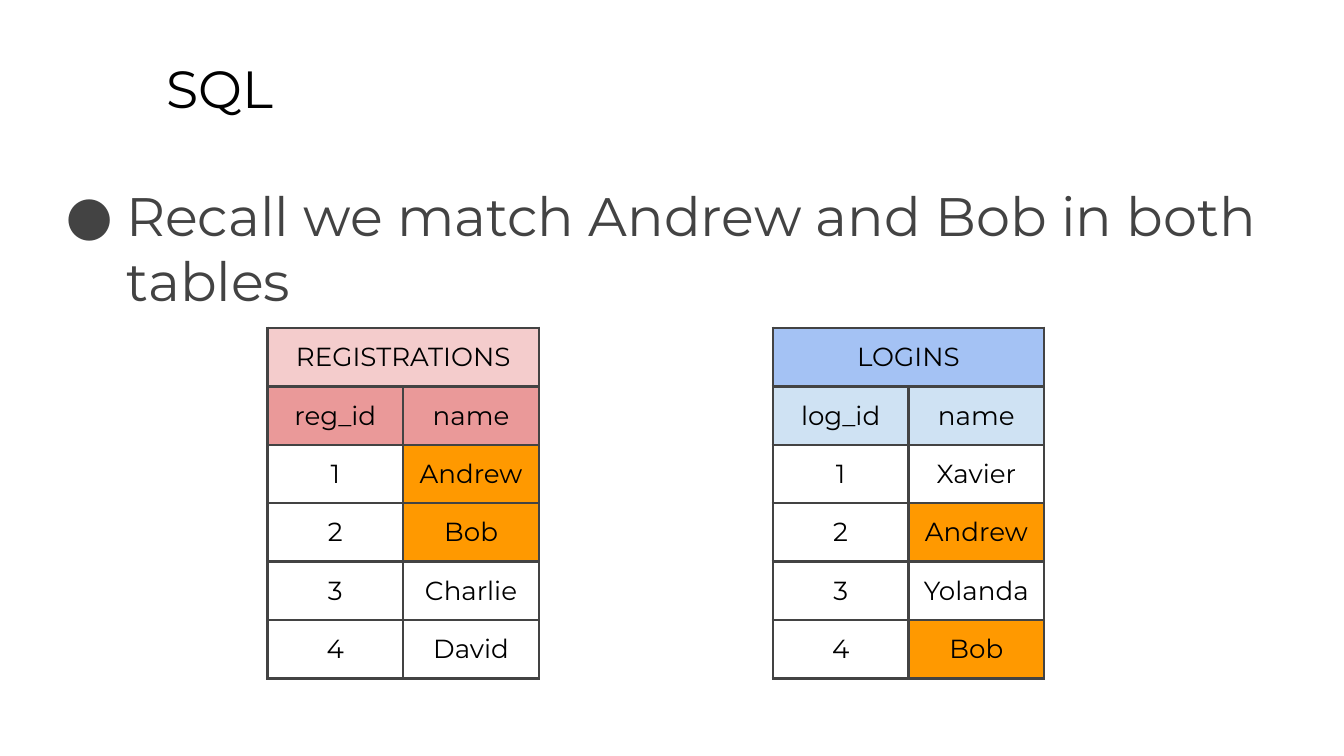
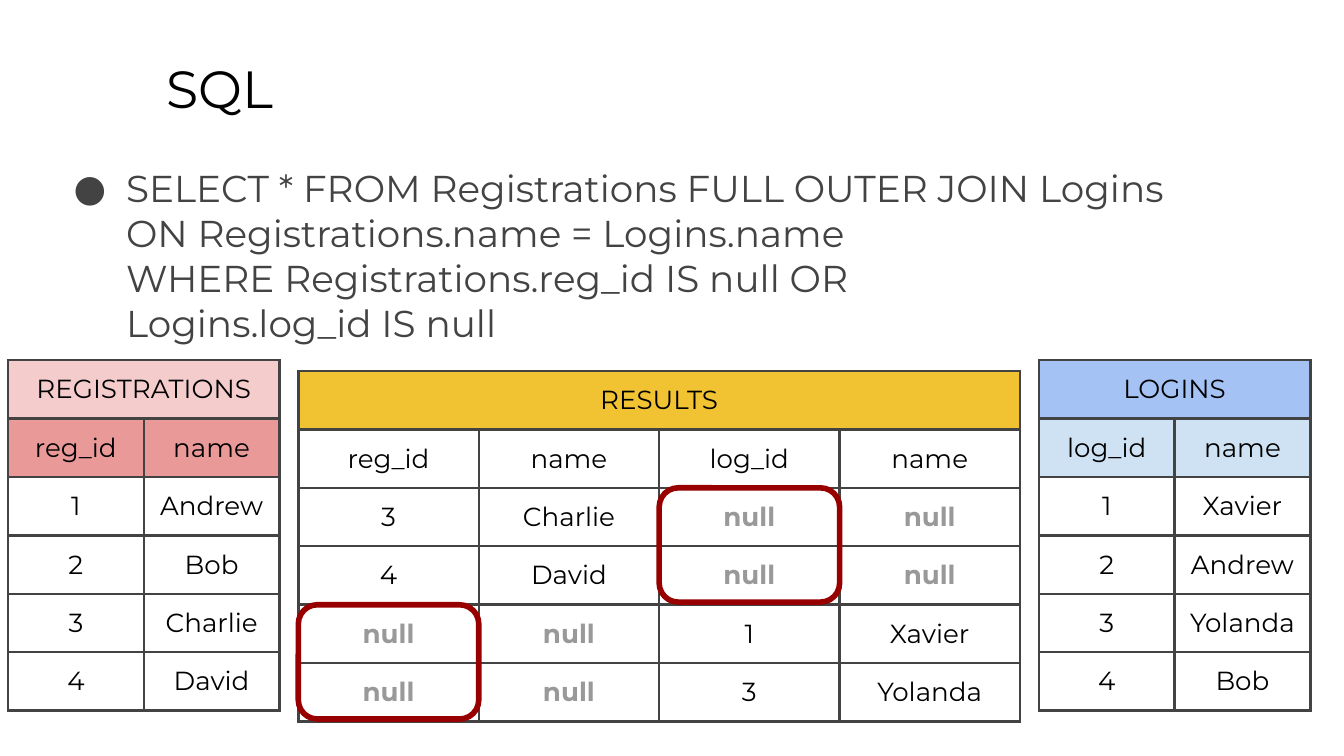
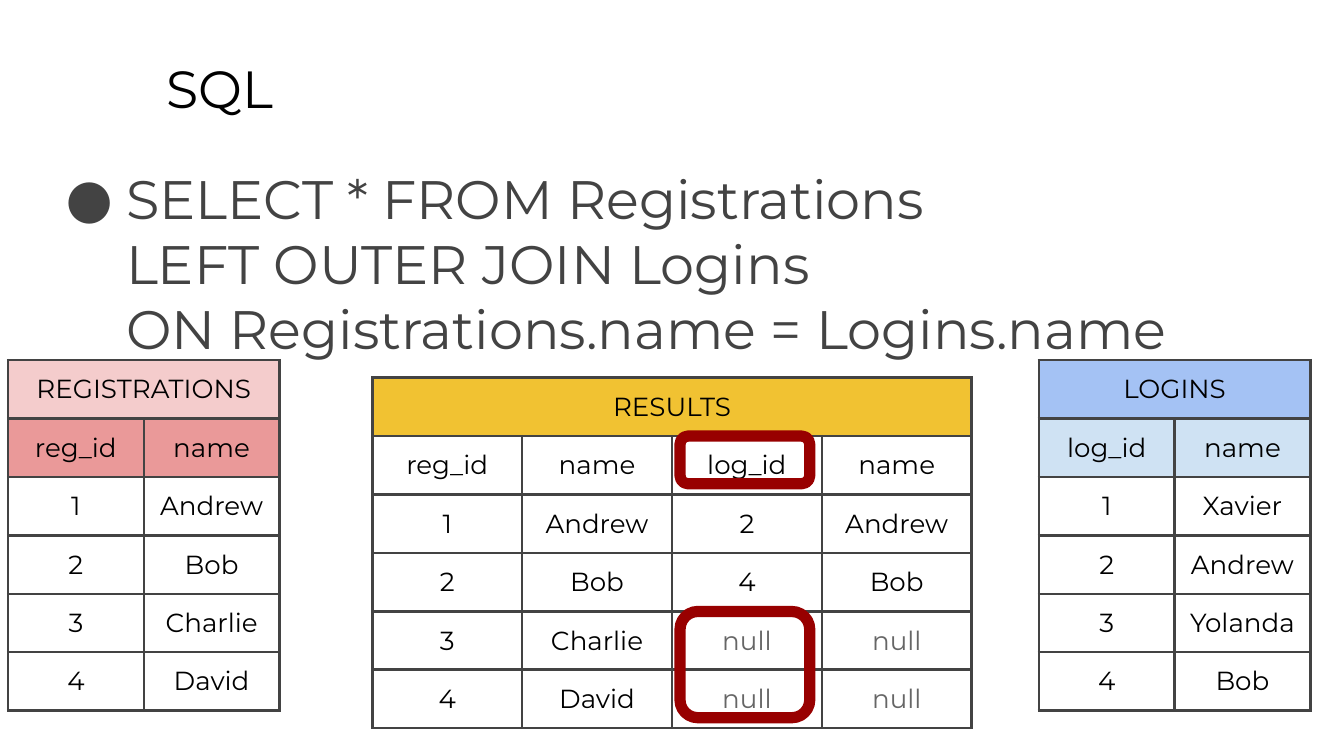
import collections

import pptx
import pptx.dml.color
import pptx.enum.shapes
import pptx.enum.text
import pptx.oxml
import pptx.oxml.ns
import pptx.util

WIDTH, HEIGHT = pptx.util.Inches(10), pptx.util.Inches(5.625)
COLUMN, ROW = WIDTH / 100, HEIGHT / 56.25
TABLE_ROW = 4.35
FONT = "Montserrat"
COLORS = {
    "paper": "FFFFFF", "ink": "000000", "body": "434343", "border": "434343",
    "registrations": "F4CCCC", "registrations_head": "EA9999",
    "logins": "A4C2F4", "logins_head": "CFE2F3",
    "results": "F1C232", "match": "FF9900", "ring": "980000",
    "null_bold": "999999", "null_plain": "666666",
}
Box = collections.namedtuple("Box", "left top width height")
Relation = collections.namedtuple("Relation", "name fields records")

REGISTRATIONS = Relation("registrations", ["reg_id", "name"], [
    ["1", "Andrew"], ["2", "Bob"], ["3", "Charlie"], ["4", "David"]])
LOGINS = Relation("logins", ["log_id", "name"], [
    ["1", "Xavier"], ["2", "Andrew"], ["3", "Yolanda"], ["4", "Bob"]])
JOINED_FIELDS = REGISTRATIONS.fields + LOGINS.fields
UNMATCHED = Relation("results", JOINED_FIELDS, [
    ["3", "Charlie", "null", "null"], ["4", "David", "null", "null"],
    ["null", "null", "1", "Xavier"], ["null", "null", "3", "Yolanda"]])
LEFT_JOINED = Relation("results", JOINED_FIELDS, [
    ["1", "Andrew", "2", "Andrew"], ["2", "Bob", "4", "Bob"],
    ["3", "Charlie", "null", "null"], ["4", "David", "null", "null"]])

TITLE_BOX = Box(11.4, 3.2, 85.2, 6.3)
QUERY_BOX = Box(3.4, 11.3, 95, 37.4)


def rgb(key):
    """Return the named colour."""
    return pptx.dml.color.RGBColor.from_string(COLORS[key])


def place(box):
    """Turn grid columns and rows into slide lengths."""
    return (round(box.left * COLUMN), round(box.top * ROW),
            round(box.width * COLUMN), round(box.height * ROW))


def table_box(left, top, width):
    """Return the box of a six-row table."""
    return Box(left, top, width, 6 * TABLE_ROW)


def write(paragraph, text, size, color, bold=False):
    """Add one styled run to a paragraph."""
    run = paragraph.add_run()
    run.text = text
    run.font.name = FONT
    run.font.size = pptx.util.Pt(size)
    run.font.bold = bold
    run.font.color.rgb = rgb(color)


def inset(holder):
    """Give a text holder equal margins."""
    holder.margin_left = holder.margin_right = COLUMN_MARGIN
    holder.margin_top = holder.margin_bottom = COLUMN_MARGIN


COLUMN_MARGIN = round(COLUMN)


def add_lines(slide, box, lines, size, color, hanging=None):
    """Write lines in a box, with a bullet on the first if hanging is given."""
    frame = slide.shapes.add_textbox(*place(box)).text_frame
    frame.word_wrap = True
    inset(frame)
    for number, line in enumerate(lines):
        paragraph = frame.paragraphs[0] if number == 0 else frame.add_paragraph()
        write(paragraph, line, size, color)
        if hanging:
            properties = paragraph._p.get_or_add_pPr()
            properties.set("marL", str(round(5 * COLUMN)))
            properties.set("indent", str(0 if number else -round(hanging * COLUMN)))
            if number == 0:
                add_bullet(properties)


def add_bullet(properties):
    """Give a paragraph a round bullet in the body colour."""
    color = pptx.oxml.ns.qn("a:buClr")
    bullet_color = properties.makeelement(color, {})
    bullet_color.append(properties.makeelement(
        pptx.oxml.ns.qn("a:srgbClr"), {"val": COLORS["body"]}))
    properties.append(bullet_color)
    for tag, attributes in (("a:buFont", {"typeface": FONT}), ("a:buChar", {"char": "●"})):
        properties.append(properties.makeelement(pptx.oxml.ns.qn(tag), attributes))


def add_borders(cell):
    """Draw the four borders of a cell."""
    properties = cell._tc.get_or_add_tcPr()
    for side in "LRTB":
        properties.append(pptx.oxml.parse_xml(
            f'<a:ln{side} {pptx.oxml.ns.nsdecls("a")} w="{pptx.util.Pt(1.5)}">'
            f'<a:solidFill><a:srgbClr val="{COLORS["border"]}"/></a:solidFill>'
            f'</a:ln{side}>'))


def fill_cell(cell, text, fill, color="ink", bold=False):
    """Style one cell and write its value."""
    inset(cell)
    add_borders(cell)
    if fill:
        cell.fill.solid()
        cell.fill.fore_color.rgb = rgb(fill)
    else:
        cell.fill.background()
    paragraph = cell.text_frame.paragraphs[0]
    paragraph.alignment = pptx.enum.text.PP_ALIGN.CENTER
    if text:
        write(paragraph, text, 14, color, bold)


def add_relation(slide, box, relation, matches=(), null_color="null_bold"):
    """Draw a relation: its name, its fields and its records."""
    span = len(relation.fields)
    heading = [relation.name.upper()] + [""] * (span - 1)
    rows = [heading, relation.fields] + relation.records
    grid = slide.shapes.add_table(len(rows), span, *place(box)).table
    grid.first_row = grid.horz_banding = False
    head = relation.name + "_head"
    for r, values in enumerate(rows):
        for c, value in enumerate(values):
            fill = "match" if value in matches else None
            if r < 2:
                fill = (relation.name, head if head in COLORS else None)[r]
            null = value == "null"
            fill_cell(grid.cell(r, c), value, fill, null_color if null else "ink",
                      null and null_color == "null_bold")
    grid.cell(0, 0).merge(grid.cell(0, span - 1))


def add_ring(slide, box, row, rows, column, weight, trim):
    """Ring some cells of one column in the four-column table box."""
    shift, narrow, shorten = trim
    cell_width = box.width / 4
    ring = slide.shapes.add_shape(
        pptx.enum.shapes.MSO_SHAPE.ROUNDED_RECTANGLE,
        *place(Box(box.left + column * cell_width + shift, box.top + row * TABLE_ROW,
                   cell_width - narrow, rows * TABLE_ROW - shorten)))
    ring.shadow.inherit = False
    ring.fill.background()
    ring.line.color.rgb = rgb("ring")
    ring.line.width = pptx.util.Pt(weight)


def add_sql_slide(deck, box, lines, size, hanging):
    """Start a slide with the shared title and its bulleted text."""
    slide = deck.slides.add_slide(deck.slide_layouts[6])
    slide.background.fill.solid()
    slide.background.fill.fore_color.rgb = rgb("paper")
    add_lines(slide, TITLE_BOX, ["SQL"], 28, "ink")
    add_lines(slide, box, lines, size, "body", hanging)
    return slide


def add_sources(slide, registrations_left, logins_left, top, matches=()):
    """Draw the two source relations at the same height."""
    for relation, left in ((REGISTRATIONS, registrations_left), (LOGINS, logins_left)):
        add_relation(slide, table_box(left, top, 20.2), relation, matches)


def build_match_slide(deck):
    """Show the names found in both relations."""
    slide = add_sql_slide(deck, QUERY_BOX._replace(top=12.6),
                          ["Recall we match Andrew and Bob in both tables"], 29, 4.5)
    add_sources(slide, 19.9, 57.5, 24.4, ("Andrew", "Bob"))


def build_join_slide(deck, lines, size, hanging, relation, box, null_color, rings, weight, trim):
    """Show a query, its sources and its ringed results."""
    slide = add_sql_slide(deck, QUERY_BOX, lines, size, hanging)
    add_sources(slide, 0.6, 77.3, 26.8)
    add_relation(slide, box, relation, null_color=null_color)
    for row, rows, column in rings:
        add_ring(slide, box, row, rows, column, weight, trim)


def main():
    """Build the deck."""
    deck = pptx.Presentation()
    deck.slide_width, deck.slide_height = WIDTH, HEIGHT
    build_match_slide(deck)
    build_join_slide(
        deck,
        ["SELECT * FROM Registrations FULL OUTER JOIN Logins",
         "ON Registrations.name = Logins.name",
         "WHERE Registrations.reg_id IS null OR",
         "Logins.log_id IS null"],
        20, 3.9, UNMATCHED, table_box(22.2, 27.6, 53.7), "null_bold",
        [(2, 2, 2), (4, 2, 0)], 3, (0, 0, 0.2))
    build_join_slide(
        deck,
        ["SELECT * FROM Registrations",
         "LEFT OUTER JOIN Logins",
         "ON Registrations.name = Logins.name"],
        29, 4.5, LEFT_JOINED, table_box(27.7, 28.1, 44.6), "null_plain",
        [(4, 2, 2), (1, 1, 2)], 6, (0.6, 1.5, 0.8))
    deck.save("out.pptx")


if __name__ == "__main__":
    main()
